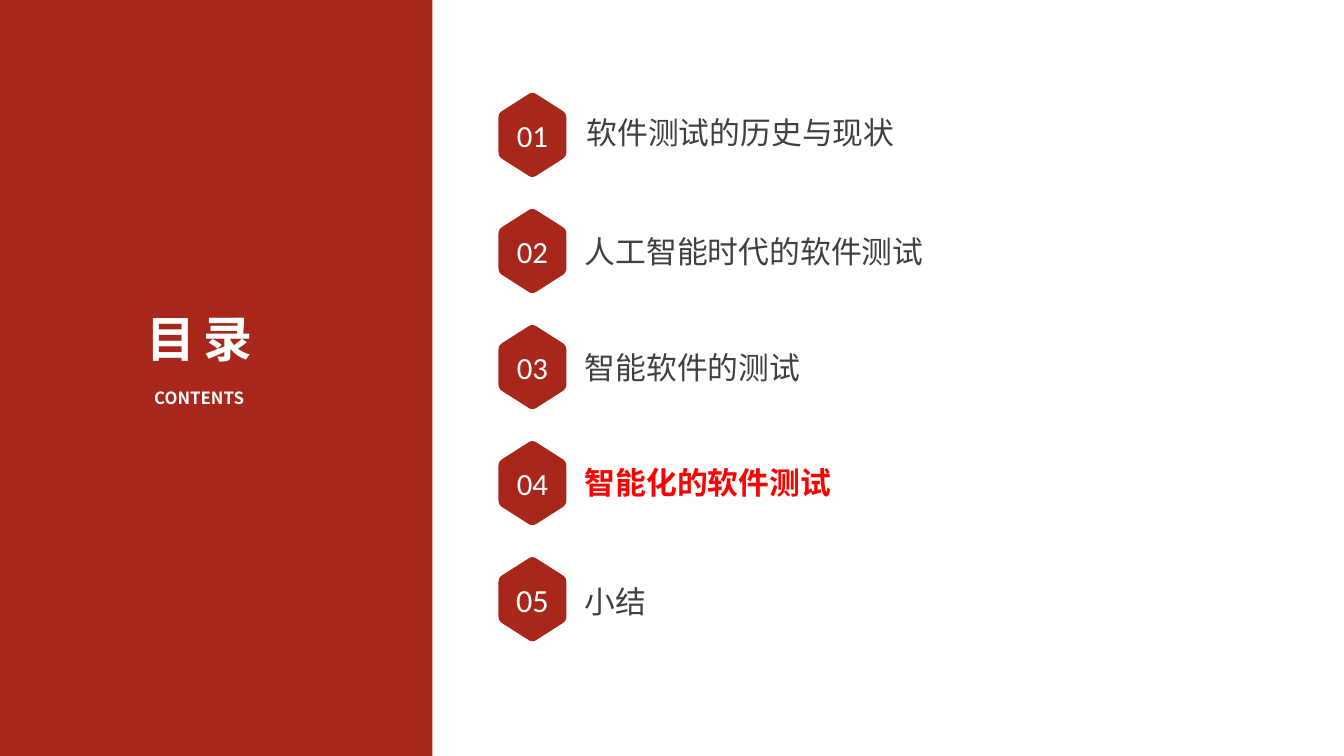
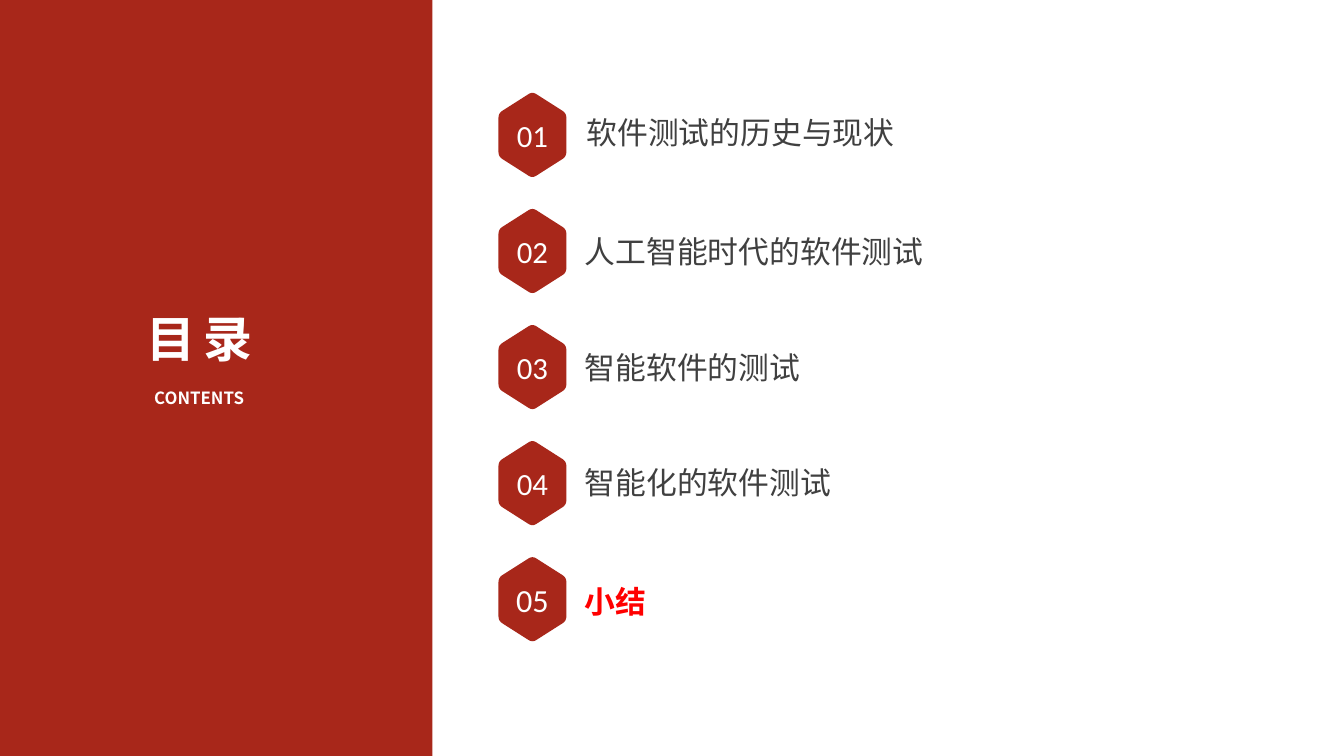
from dataclasses import dataclass
from typing import Optional

from pptx import Presentation
from pptx.dml.color import RGBColor
from pptx.enum.shapes import MSO_SHAPE
from pptx.enum.text import MSO_ANCHOR, PP_ALIGN
from pptx.oxml.ns import qn
from pptx.shapes.base import BaseShape
from pptx.slide import Slide
from pptx.util import Cm, Pt

RECT = MSO_SHAPE.RECTANGLE
TOP, MIDDLE = MSO_ANCHOR.TOP, MSO_ANCHOR.MIDDLE
LEFT, CENTER = PP_ALIGN.LEFT, PP_ALIGN.CENTER

BRICK, WHITE, GREY, RED = "A8271A", "FFFFFF", "404040", "FF0000"
SANS, DIGIT = "Noto Sans CJK SC", "Calibri"

WIDE, HIGH = 67.73, 38.1
PANEL = 21.79
INSET = 0.13
BADGE_X, BADGE_Y, PITCH = 26.83, 6.8, 5.85
NUM_W, NUM_H = 4.42, 3.05
TOPIC_X = 29.34

# Half of the hexagon's outline, measured from its centre
HALF_HEX = [(2.18, 0), (1.09, 1.71), (-1.09, 1.71)]
HEX = HALF_HEX + [(-x, -y) for x, y in HALF_HEX]
CUT, STEPS = 0.23, 6


@dataclass(frozen=True)
class Topic:
    label: str
    top: float
    width: float
    height: float = 2.46
    align: PP_ALIGN = LEFT
    size: int = 44


TOPICS = [
    Topic("软件测试的历史与现状", 5.61, 15.98, height=2.36, align=CENTER),
    Topic("人工智能时代的软件测试", 11.58, 21.29),
    Topic("智能软件的测试", 17.42, 13.59),
    Topic("智能化的软件测试", 23.22, 13.59),
    Topic("小结", 29.26, 6.86, size=46),
]


def color(code: str) -> RGBColor:
    return RGBColor.from_string(code)


def paint(shape: BaseShape, code: str) -> None:
    """Give a shape a flat fill with no line or shadow."""
    shape.shadow.inherit = False
    shape.fill.solid()
    shape.fill.fore_color.rgb = color(code)
    shape.line.fill.background()


def write(slide: Slide, text: str, left: float, top: float, width: float,
          height: float, *, size: int, face: str = SANS, ink: str = WHITE,
          bold: bool = False, align: PP_ALIGN = CENTER,
          anchor: MSO_ANCHOR = TOP, track: Optional[float] = None) -> None:
    """Add a text box; track is the letter spacing in points."""
    box = slide.shapes.add_textbox(Cm(left), Cm(top), Cm(width), Cm(height))
    frame = box.text_frame
    frame.word_wrap = True
    frame.vertical_anchor = anchor
    frame.margin_left = frame.margin_right = Cm(INSET)
    frame.margin_top = frame.margin_bottom = Cm(INSET)
    para = frame.paragraphs[0]
    para.alignment = align
    run = para.add_run()
    run.text = text
    font = run.font
    font.size, font.bold, font.name = Pt(size), bold, face
    font.color.rgb = color(ink)
    props = run._r.get_or_add_rPr()
    east = props.makeelement(qn("a:ea"), {"typeface": face})
    props.find(qn("a:latin")).addnext(east)
    if track is not None:
        props.set("spc", str(round(track * 100)))


def soften(corners: list[tuple[float, float]]) -> list[tuple[float, float]]:
    """Round each corner with a quadratic curve."""
    points = []
    for i, (x, y) in enumerate(corners):
        ends = []
        for nx, ny in (corners[i - 1], corners[(i + 1) % len(corners)]):
            part = CUT / ((nx - x) ** 2 + (ny - y) ** 2) ** 0.5
            ends.append((x + (nx - x) * part, y + (ny - y) * part))
        (ax, ay), (bx, by) = ends
        for step in range(STEPS + 1):
            t = step / STEPS
            a, m, b = (1 - t) ** 2, 2 * t * (1 - t), t ** 2
            points.append((a * ax + m * x + b * bx, a * ay + m * y + b * by))
    return points


def badge(slide: Slide, number: int, size: int) -> None:
    mid = BADGE_Y + (number - 1) * PITCH
    points = [(Cm(BADGE_X + x), Cm(mid + y)) for x, y in soften(HEX)]
    pen = slide.shapes.build_freeform(*points[0])
    pen.add_line_segments(points[1:], close=True)
    hexagon = pen.convert_to_shape()
    hexagon.rotation = 90
    paint(hexagon, BRICK)
    write(slide, f"{number:02}", BADGE_X - NUM_W / 2, mid - NUM_H / 2,
          NUM_W, NUM_H, size=size, face=DIGIT, anchor=MIDDLE)


def panel(slide: Slide) -> None:
    band = slide.shapes.add_shape(RECT, 0, 0, Cm(PANEL), Cm(HIGH))
    paint(band, BRICK)
    write(slide, "CONTENTS", 4.75, 19.41, 10.57, 2.51, size=24, bold=True)
    write(slide, "目录", 2.84, 15.44, 14.43, 7.24, size=70, bold=True,
          track=11.7)


def agenda(deck: Presentation, current: int) -> None:
    """Add a contents slide that highlights the current topic."""
    slide = deck.slides.add_slide(deck.slide_layouts[6])
    panel(slide)
    for number, topic in enumerate(TOPICS, 1):
        active = number == current
        badge(slide, number, topic.size)
        write(slide, topic.label, TOPIC_X, topic.top, topic.width,
              topic.height, size=44, align=topic.align, bold=active,
              ink=RED if active else GREY)


def main() -> None:
    deck = Presentation()
    deck.slide_width, deck.slide_height = Cm(WIDE), Cm(HIGH)
    for current in (4, 5):
        agenda(deck, current)
    deck.save("out.pptx")


if __name__ == "__main__":
    main()
